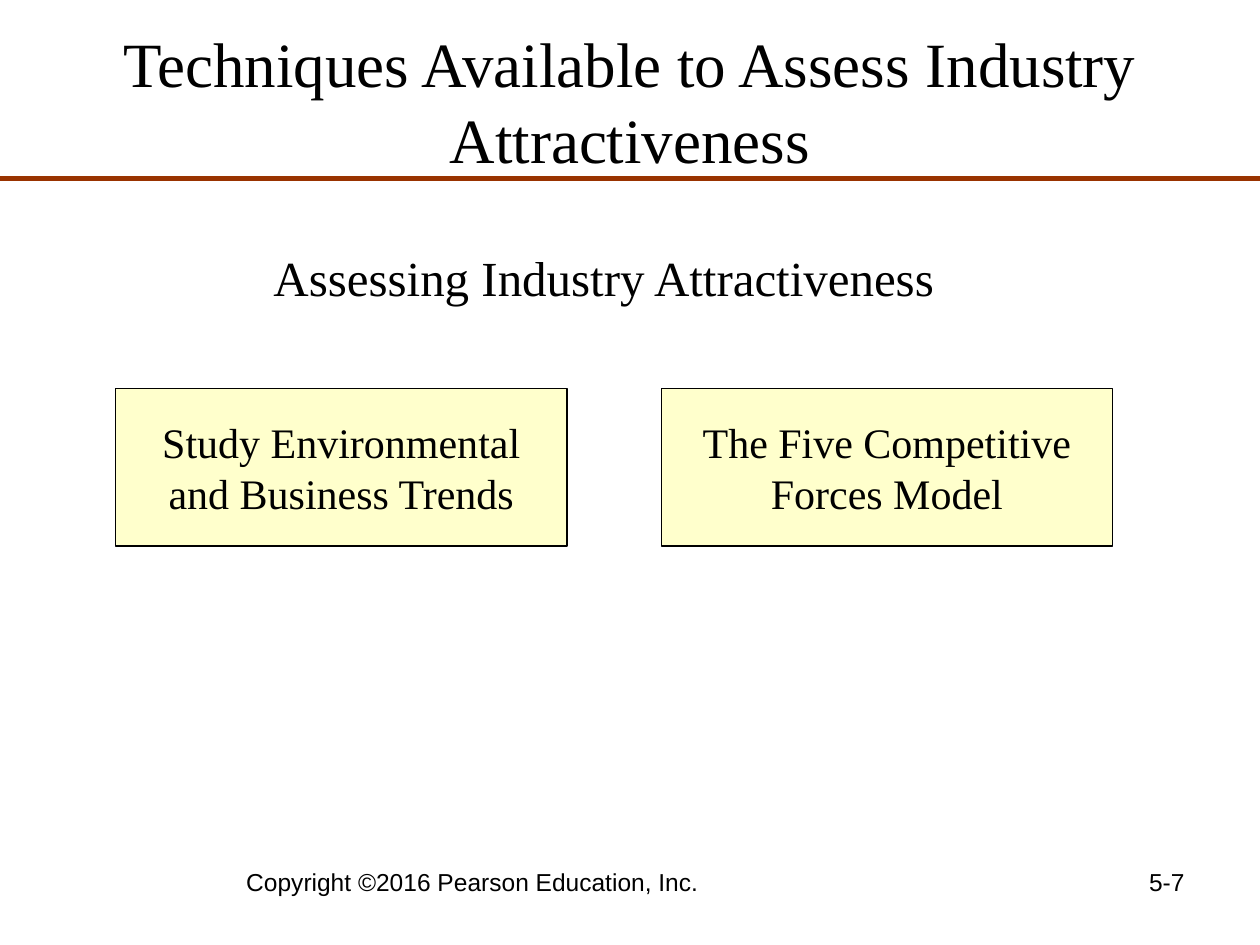
from lxml import etree
from pptx import Presentation
from pptx import util as u
from pptx.dml import color
from pptx.enum import shapes, text
from pptx.oxml import ns

COLORS = {"ink": "000000", "rule": "993300", "box": "FFFFCC"}
SERIF = "Times New Roman"
SANS = "Arial"
CENTER = text.PP_ALIGN.CENTER
RIGHT = text.PP_ALIGN.RIGHT
TOP = text.MSO_ANCHOR.TOP
MIDDLE = text.MSO_ANCHOR.MIDDLE


def rgb(name):
    return color.RGBColor.from_string(COLORS[name])


def write(shape, lines, size, font_name=SERIF, align=CENTER, anchor=TOP, wrap=True):
    frame = shape.text_frame
    frame.word_wrap = wrap
    frame.vertical_anchor = anchor
    frame.text = "\n".join(lines)
    for paragraph in frame.paragraphs:
        paragraph.alignment = align
        paragraph.font.name = font_name
        paragraph.font.size = u.Pt(size)
        paragraph.font.color.rgb = rgb("ink")


def add_text(slide, place, lines, size, **style):
    shape = slide.shapes.add_textbox(*map(u.Cm, place))
    write(shape, lines, size, **style)


def add_box(slide, place, lines):
    shape = slide.shapes.add_shape(shapes.MSO_SHAPE.RECTANGLE, *map(u.Cm, place))
    shape.shadow.inherit = False
    shape.fill.solid()
    shape.fill.fore_color.rgb = rgb("box")
    shape.line.color.rgb = rgb("ink")
    shape.line.width = u.Pt(0.75)
    write(shape, lines, 24, anchor=MIDDLE, wrap=False)


def add_rule(slide, top, width):
    rule = slide.shapes.add_connector(
        shapes.MSO_CONNECTOR.STRAIGHT, 0, u.Cm(top), width, u.Cm(top))
    rule.line.color.rgb = rgb("rule")
    rule.line.width = u.Pt(3)
    etree.SubElement(rule._element.spPr, ns.qn("a:effectLst"))


def main():
    presentation = Presentation()
    presentation.slide_width = u.Cm(25.4)
    presentation.slide_height = u.Cm(19.05)
    slide = presentation.slides.add_slide(presentation.slide_layouts[6])

    add_text(slide, (1.27, 0.43, 22.86, 3.18),
             ["Techniques Available to Assess Industry\vAttractiveness"],
             36, anchor=MIDDLE)
    add_rule(slide, 3.6, presentation.slide_width)

    techniques = [
        ["Study Environmental", "and Business Trends"],
        ["The Five Competitive", "Forces Model"],
    ]
    for column, lines in enumerate(techniques):
        add_box(slide, (2.33 + 11 * column, 7.83, 9.1, 3.18), lines)

    add_text(slide, (4.87, 4.87, 14.6, 1.45), ["Assessing Industry Attractiveness"], 28)
    add_text(slide, (1.27, 17.36, 16.51, 1.32),
             ["Copyright ©2016 Pearson Education, Inc."], 14, font_name=SANS)
    add_text(slide, (18.2, 17.36, 5.93, 1.32), ["5-7"], 14, font_name=SANS, align=RIGHT)

    presentation.save("out.pptx")


if __name__ == "__main__":
    main()
